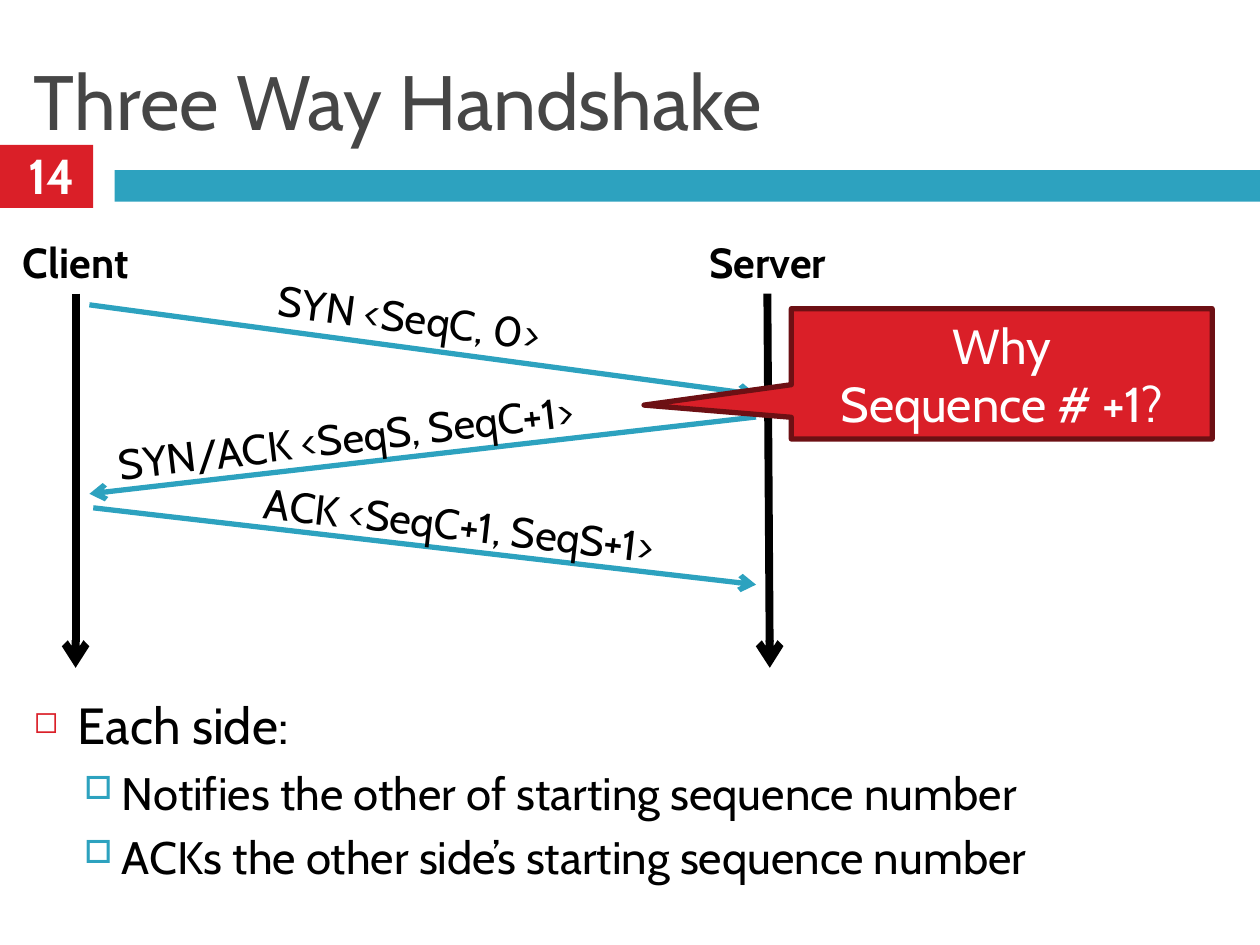
from lxml import etree
from pptx import Presentation
from pptx.dml.color import RGBColor
from pptx.enum.shapes import MSO_CONNECTOR, MSO_SHAPE
from pptx.enum.text import MSO_ANCHOR, MSO_AUTO_SIZE, PP_ALIGN
from pptx.oxml.ns import qn
from pptx.util import Pt

LEFT, CENTER = PP_ALIGN.LEFT, PP_ALIGN.CENTER
TOP, MIDDLE = MSO_ANCHOR.TOP, MSO_ANCHOR.MIDDLE
RECTANGLE, CALLOUT = MSO_SHAPE.RECTANGLE, MSO_SHAPE.RECTANGULAR_CALLOUT
STRAIGHT, NO_AUTOSIZE = MSO_CONNECTOR.STRAIGHT, MSO_AUTO_SIZE.NONE

# Content: boxes are left, top, width, height; lines are x1, y1, x2, y2 (points)
TITLE = "Three Way Handshake"
NUMBER = "14"
HOSTS = [
    ("Client", (2.2, 131.8, 82, 36), (43.2, 167.8, 43.2, 381.6)),
    ("Server", (393.8, 131.8, 90, 36), (438.5, 167.8, 439.9, 381.6)),
]
MESSAGES = [
    ("SYN <SeqC, 0>", (151.2, 164.9, 193.7, 36), 7.6, (51.1, 174.2, 432, 225.4)),
    ("SYN/ACK <SeqS, SeqC+1>", (59.8, 229, 316.8, 36), -6.9, (432, 238.3, 51.1, 282.2)),
    ("ACK <SeqC+1, SeqS+1>", (143.3, 284.4, 288, 36), 6.6, (53.3, 290.2, 432, 334.1)),
]
QUESTION = ["Why", "Sequence # +1?"]
BULLETS = [
    (0, "Each side:"),
    (1, "Notifies the other of starting sequence number"),
    (1, "ACKs the other side’s starting sequence number"),
]

THEME = {
    "font": "Cabin",
    "red": "DA1F28", "dark_red": "6D1014", "blue": "2DA2BF",
    "grey": "464646", "black": "000000", "white": "FFFFFF",
    "title": 44, "large": 28, "label": 24,
}
# Per level: size, space before, left margin, first-line indent, mark, colour, mark size %
LEVELS = [
    (29, 7, 25.2, -25.2, "◻", "red", 60),
    (26, 5.5, 50.4, -21.6, "□", "blue", 70),
]


def color(name):
    return RGBColor.from_string(THEME[name])


def points(values):
    return [Pt(value) for value in values]


def style(para, text, size, ink="black", bold=False, align=LEFT):
    para.alignment = align
    span = para.add_run()
    span.text = text
    span.font.name = THEME["font"]
    span.font.size = Pt(size)
    span.font.bold = bold
    span.font.color.rgb = color(ink)


def write(shape, lines, size, anchor=TOP, wrap=True, **format):
    frame = shape.text_frame
    frame.auto_size = NO_AUTOSIZE
    frame.word_wrap = wrap
    frame.vertical_anchor = anchor
    for index, line in enumerate(lines):
        para = frame.add_paragraph() if index else frame.paragraphs[0]
        style(para, line, size, **format)


def add_box(page, box):
    return page.shapes.add_textbox(*points(box))


def add_block(page, kind, box, fill, line=None):
    block = page.shapes.add_shape(kind, *points(box))
    block.shadow.inherit = False
    block.fill.solid()
    block.fill.fore_color.rgb = color(fill)
    if line:
        block.line.color.rgb = color(line)
        block.line.width = Pt(3)
    else:
        block.line.fill.background()
    return block


def add_arrow(page, ends, ink, width):
    arrow = page.shapes.add_connector(STRAIGHT, *points(ends))
    arrow.line.color.rgb = color(ink)
    arrow.line.width = Pt(width)
    etree.SubElement(arrow.line._get_or_add_ln(), qn("a:tailEnd"), type="arrow")
    etree.SubElement(arrow._element.spPr, qn("a:effectLst"))


def add_bullet(para, level, text):
    size, space, margin, indent, mark, ink, percent = LEVELS[level]
    para.level = level
    para.space_before = Pt(space)
    props = para._p.get_or_add_pPr()
    props.set("marL", str(Pt(margin)))
    props.set("indent", str(Pt(indent)))
    mark_color = etree.SubElement(props, qn("a:buClr"))
    etree.SubElement(mark_color, qn("a:srgbClr"), val=THEME[ink])
    etree.SubElement(props, qn("a:buSzPct"), val=str(percent * 1000))
    etree.SubElement(props, qn("a:buChar"), char=mark)
    style(para, text, size)


def main():
    deck = Presentation()
    deck.slide_width, deck.slide_height = Pt(720), Pt(540)
    page = deck.slides.add_slide(deck.slide_layouts[5])

    # Header: number tab, bar and title
    add_block(page, RECTANGLE, (0, 82.8, 53.3, 36), "red")
    add_block(page, RECTANGLE, (65.5, 97.2, 654.5, 18), "blue")
    title = page.shapes.title
    title.left, title.top, title.width, title.height = points((12.2, 18, 696.2, 77.8))
    write(title, [TITLE], THEME["title"], anchor=MIDDLE, ink="grey")
    write(add_box(page, (0, 77, 59, 46)), [NUMBER], THEME["large"],
          anchor=MIDDLE, ink="white", bold=True, align=CENTER)

    # Bullets; the first paragraph needs no space before
    frame = add_box(page, (12.2, 393.1, 696.2, 135.4)).text_frame
    frame.word_wrap = True
    for index, (level, text) in enumerate(BULLETS):
        para = frame.add_paragraph() if index else frame.paragraphs[0]
        add_bullet(para, level, text)
    frame.paragraphs[0].space_before = Pt(0)

    # Timelines of both hosts
    for name, box, ends in HOSTS:
        add_arrow(page, ends, "black", 4.5)
        write(add_box(page, box), [name], THEME["label"], wrap=False, bold=True, align=CENTER)

    # Messages between the hosts
    for text, box, angle, ends in MESSAGES:
        add_arrow(page, ends, "blue", 3)
        label = add_box(page, box)
        label.rotation = angle
        write(label, [text], THEME["label"], wrap=False)

    # Callout pointing at the second message
    callout = add_block(page, CALLOUT, (452.2, 176.4, 240.5, 74.5), "red", line="dark_red")
    callout.adjustments[0], callout.adjustments[1] = -0.85, 0.24
    write(callout, QUESTION, THEME["large"], anchor=MIDDLE, ink="white", align=CENTER)

    deck.save("out.pptx")


if __name__ == "__main__":
    main()
